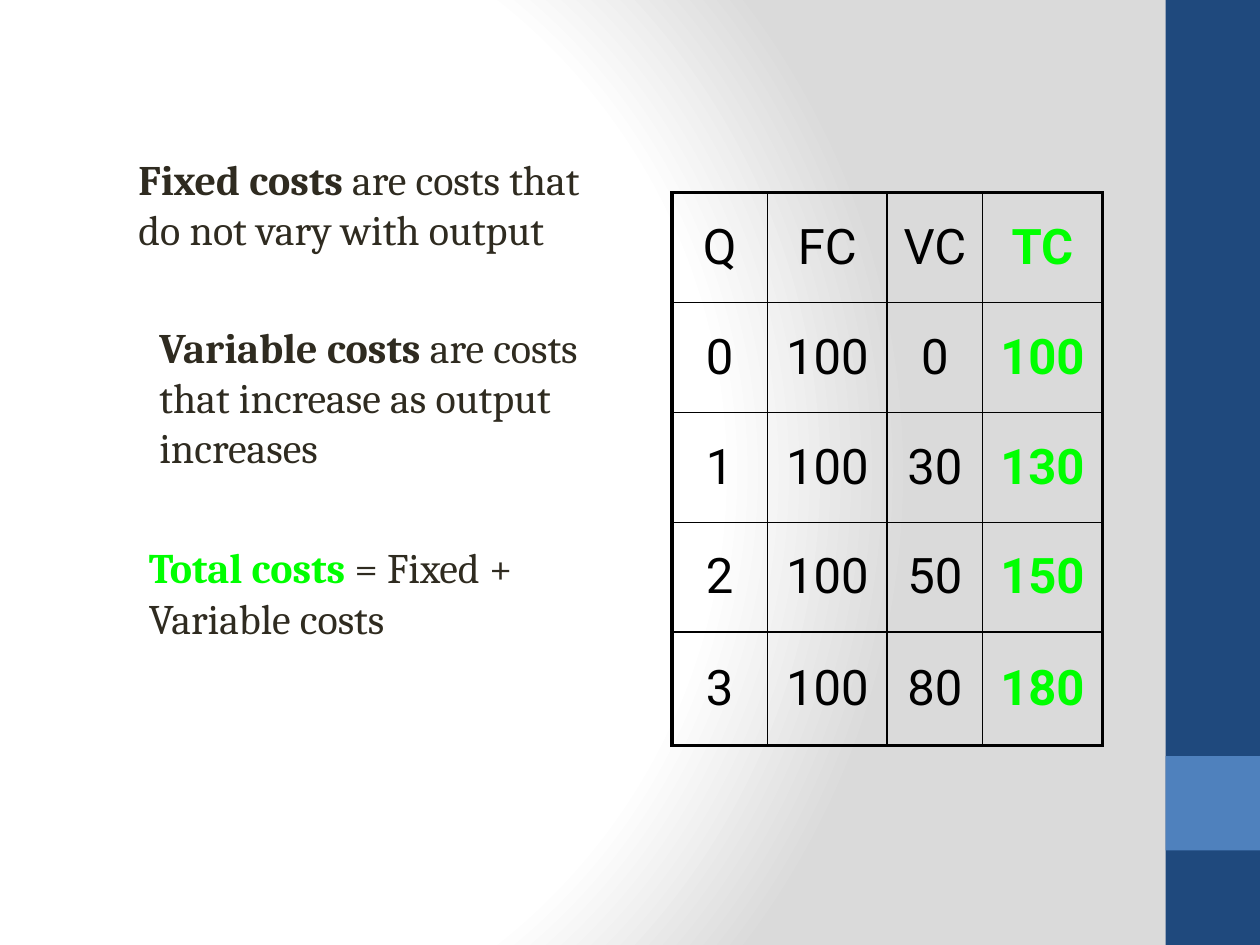
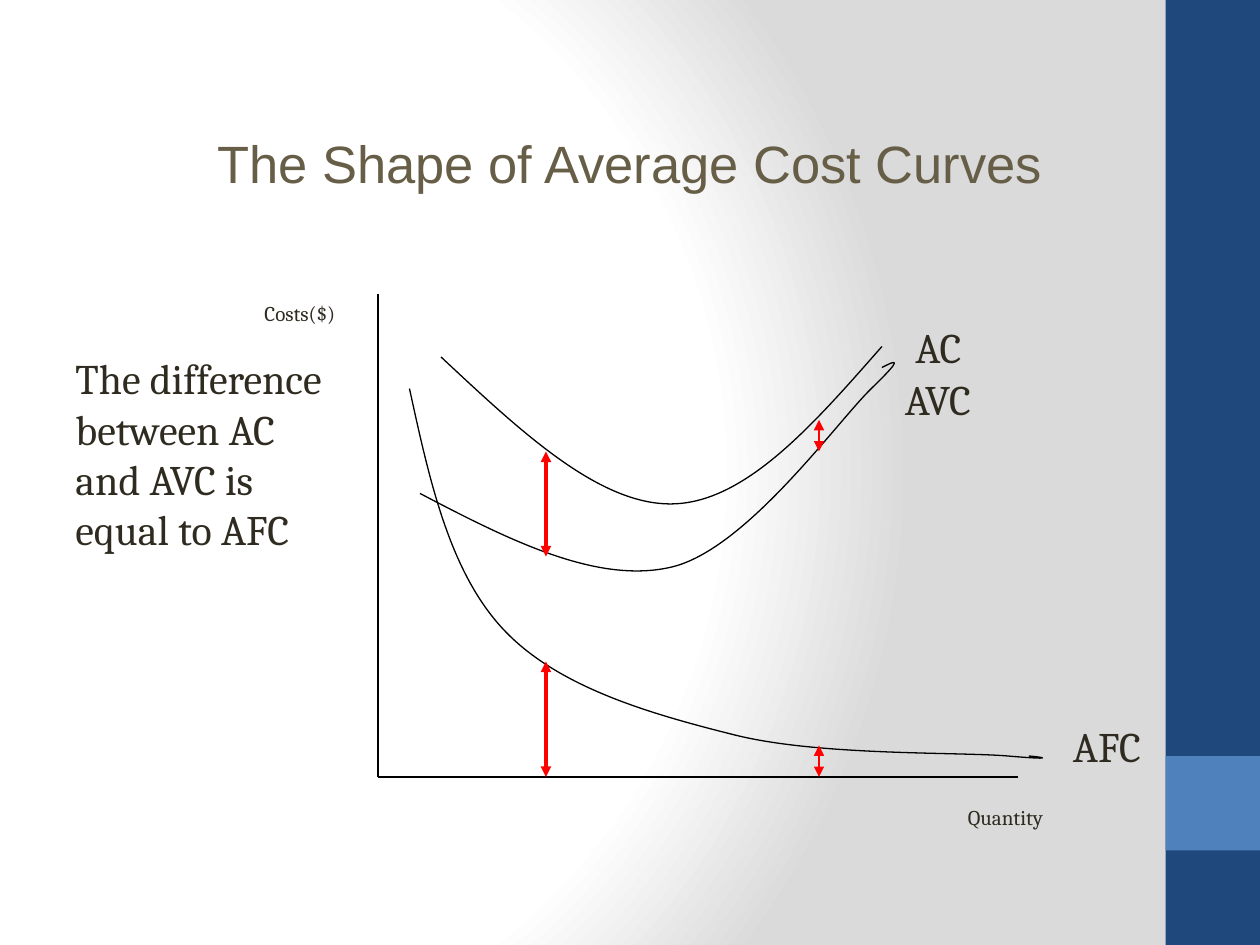
from dataclasses import dataclass

from lxml import etree
from pptx import Presentation
from pptx.dml.color import RGBColor
from pptx.enum.shapes import MSO_CONNECTOR, MSO_SHAPE
from pptx.enum.text import MSO_ANCHOR, MSO_AUTO_SIZE, PP_ALIGN
from pptx.oxml import parse_xml
from pptx.oxml.ns import nsdecls, qn
from pptx.util import Inches, Pt

Point = tuple[float, float]


@dataclass(frozen=True)
class Theme:
    ink: str = "2F2B20"
    title: str = "675E47"
    line: str = "000000"
    total: str = "00FF00"
    arrow: str = "FF0000"
    band: str = "1F497D"
    accent: str = "4F81BD"
    page: str = "FFFFFF"
    page_edge: str = "DADADA"
    body_font: str = "Cambria"
    title_font: str = "Arial"
    table_font: str = "Roboto"
    title_size: float = 30
    table_size: float = 28
    body_size: float = 24
    axis_size: float = 12
    thin: float = 0.75
    inner_border: float = 1
    outer_border: float = 2.25


@dataclass(frozen=True)
class Box:
    col: float
    row: float
    cols: float
    rows: float

    def emu(self) -> tuple[int, int, int, int]:
        return grid(self.col), grid(self.row), grid(self.cols), grid(self.rows)


@dataclass(frozen=True)
class Note:
    box: Box
    text: str
    lead: str = ""
    lead_color: str = Theme.ink
    size: float = Theme.body_size


@dataclass(frozen=True)
class Segment:
    start: Point
    end: Point
    color: str = Theme.line
    width: float = Theme.thin
    arrows: bool = False


@dataclass(frozen=True)
class Curve:
    start: Point
    controls: tuple[Point, ...]


THEME = Theme()
COLUMNS = 120
ROWS = 90

prs = Presentation()
prs.slide_width = Inches(10)
prs.slide_height = Inches(7.5)


def grid(units: float) -> int:
    return round(units * prs.slide_width / COLUMNS)


def rgb(color: str) -> RGBColor:
    return RGBColor.from_string(color)


def add_run(paragraph, text: str, font: str, size: float, color: str, bold: bool = False) -> None:
    run = paragraph.add_run()
    run.text = text
    run.font.name = font
    run.font.size = Pt(size)
    run.font.bold = bold
    run.font.color.rgb = rgb(color)


def paint_background(page) -> None:
    page.background.fill.gradient()
    old = page.element.find(".//" + qn("a:gradFill"))
    stops = ((0, THEME.page), (75000, THEME.page), (100000, THEME.page_edge))
    stop_xml = "".join(
        f'<a:gs pos="{pos}"><a:srgbClr val="{color}"/></a:gs>' for pos, color in stops
    )
    new = parse_xml(
        f'<a:gradFill {nsdecls("a")} rotWithShape="1"><a:gsLst>{stop_xml}</a:gsLst>'
        '<a:path path="circle"><a:fillToRect l="20000" t="50000" r="100000" b="50000"/>'
        "</a:path></a:gradFill>"
    )
    old.getparent().replace(old, new)


def add_master_bands(slide) -> None:
    tree = prs.slide_master.shapes.element
    bands = ((Box(111, 0, 9, ROWS), THEME.band), (Box(111, 72, 9, 9), THEME.accent))
    for index, (box, color) in enumerate(bands):
        band = slide.shapes.add_shape(MSO_SHAPE.RECTANGLE, *box.emu())
        band.shadow.inherit = False
        band.fill.solid()
        band.fill.fore_color.rgb = rgb(color)
        band.line.fill.background()
        band.element.nvSpPr.cNvPr.set("id", str(101 + index))
        tree.insert(2 + index, band.element)


def set_title(slide, text: str, box: Box) -> None:
    title = slide.shapes.title
    title.left, title.top, title.width, title.height = box.emu()
    frame = title.text_frame
    frame.auto_size = MSO_AUTO_SIZE.NONE
    frame.vertical_anchor = MSO_ANCHOR.MIDDLE
    paragraph = frame.paragraphs[0]
    paragraph.alignment = PP_ALIGN.CENTER
    add_run(paragraph, text, THEME.title_font, THEME.title_size, THEME.title)


def add_note(slide, note: Note) -> None:
    frame = slide.shapes.add_textbox(*note.box.emu()).text_frame
    frame.word_wrap = True
    paragraph = frame.paragraphs[0]
    if note.lead:
        add_run(paragraph, note.lead, THEME.body_font, note.size, note.lead_color, True)
    add_run(paragraph, note.text, THEME.body_font, note.size, THEME.ink)


def add_segment(slide, segment: Segment) -> None:
    ends = [grid(value) for value in (*segment.start, *segment.end)]
    connector = slide.shapes.add_connector(MSO_CONNECTOR.STRAIGHT, *ends)
    connector.line.color.rgb = rgb(segment.color)
    connector.line.width = Pt(segment.width)
    properties = connector.element.spPr
    if segment.arrows:
        line = properties.find(qn("a:ln"))
        for end in ("a:headEnd", "a:tailEnd"):
            etree.SubElement(line, qn(end), type="triangle")
    etree.SubElement(properties, qn("a:effectLst"))


def add_curve(slide, curve: Curve) -> None:
    builder = slide.shapes.build_freeform(*map(grid, curve.start))
    builder.add_line_segments([tuple(map(grid, p)) for p in curve.controls], close=False)
    shape = builder.convert_to_shape()
    path = shape.element.find(".//" + qn("a:path"))
    for index, step in enumerate(path.findall(qn("a:lnTo"))):
        if index % 3 == 0:
            bezier = etree.SubElement(path, qn("a:cubicBezTo"))
        bezier.append(step[0])
        path.remove(step)
    shape.shadow.inherit = False
    shape.fill.background()
    shape.line.color.rgb = rgb(THEME.line)
    shape.line.width = Pt(THEME.thin)


def add_border(cell, side: str, width: float) -> None:
    properties = cell._tc.get_or_add_tcPr()
    line = etree.SubElement(properties, qn(f"a:ln{side}"), w=str(Pt(width)))
    fill = etree.SubElement(line, qn("a:solidFill"))
    etree.SubElement(fill, qn("a:srgbClr"), val=THEME.line)


def add_cost_table(slide, box: Box, widths: list[float], heights: list[float],
                   rows: list[list[str]]) -> None:
    last_row, last_col = len(rows) - 1, len(widths) - 1
    table = slide.shapes.add_table(len(rows), len(widths), *box.emu()).table
    table.first_row = table.horz_banding = False
    for column, width in zip(table.columns, widths):
        column.width = grid(width)
    for row, height in zip(table.rows, heights):
        row.height = grid(height)
    for r, values in enumerate(rows):
        for c, value in enumerate(values):
            cell = table.cell(r, c)
            outer = {"L": c == 0, "R": c == last_col, "T": r == 0, "B": r == last_row}
            for side, is_outer in outer.items():
                add_border(cell, side, THEME.outer_border if is_outer else THEME.inner_border)
            cell.fill.background()
            cell.vertical_anchor = MSO_ANCHOR.MIDDLE
            paragraph = cell.text_frame.paragraphs[0]
            paragraph.alignment = PP_ALIGN.CENTER
            total = c == last_col
            add_run(paragraph, value, THEME.table_font, THEME.table_size,
                    THEME.total if total else THEME.line, total)


def build_cost_types(slide) -> None:
    fixed = 100
    variable = [0, 30, 50, 80]
    rows = [["Q", "FC", "VC", "TC"]]
    rows += [[str(n) for n in (q, fixed, vc, fixed + vc)] for q, vc in enumerate(variable)]
    widths = [9.09, 11.4] * 2
    heights = [10.46] * 4 + [10.8]
    add_note(slide, Note(Box(12, 14, 48, 10.8), " are costs that do not vary with output",
                         "Fixed costs"))
    add_cost_table(slide, Box(64, 18.36, sum(widths), sum(heights)), widths, heights, rows)
    add_note(slide, Note(Box(14, 30, 44, 15.6), " are costs that increase as output increases",
                         "Variable costs"))
    add_note(slide, Note(Box(13, 51, 45.6, 10.8), " = Fixed + Variable costs",
                         "Total costs", THEME.total))


def build_cost_curves(slide) -> None:
    set_title(slide, "The Shape of Average Cost Curves", Box(9, 8, 102, 15))
    origin = (36, 74)
    add_segment(slide, Segment((36, 28), origin))
    add_segment(slide, Segment(origin, (97, 74)))

    average_fixed = Curve((39, 37), (
        (40.9, 45.7), (42.8, 54.5), (48, 60),
        (53.2, 65.5), (62, 68), (70, 70),
        (78, 72), (91.3, 71.6), (96, 72),
        (100.7, 72.4), (99.4, 72.1), (98, 72),
    ))
    average_total = Curve((42, 34), (
        (49.5, 41), (57, 48.1), (64, 48),
        (71, 47.9), (77.5, 40.4), (84, 33),
    ))
    average_variable = Curve((40, 47), (
        (48.4, 51.4), (56.9, 55.7), (64, 54),
        (71.1, 52.3), (79.7, 40.2), (83, 37),
        (86.3, 33.8), (85.2, 34.4), (84, 35),
    ))
    for curve in (average_fixed, average_total, average_variable):
        add_curve(slide, curve)

    for note in (
        Note(Box(24, 28, 10, 3.6), "Costs($)", size=THEME.axis_size),
        Note(Box(91, 76, 10, 3.6), "Quantity", size=THEME.axis_size),
        Note(Box(101, 68, 13, 6), "AFC"),
        Note(Box(86, 30, 13, 6), "AC"),
        Note(Box(6, 33, 26, 20.4), "The difference between AC and AVC is equal to AFC"),
        Note(Box(85, 35, 13, 6), "AVC"),
    ):
        add_note(slide, note)

    for col, top, bottom, width in (
        (78, 40, 43, 1), (78, 71, 74, 1), (52, 43, 53, 2), (52, 63, 74, 2),
    ):
        add_segment(slide, Segment((col, top), (col, bottom), THEME.arrow, width, True))


title_only, blank = prs.slide_layouts[5], prs.slide_layouts[6]
types_slide = prs.slides.add_slide(blank)
curves_slide = prs.slides.add_slide(title_only)
paint_background(prs.slide_master)
add_master_bands(types_slide)
build_cost_types(types_slide)
build_cost_curves(curves_slide)
prs.save("out.pptx")
